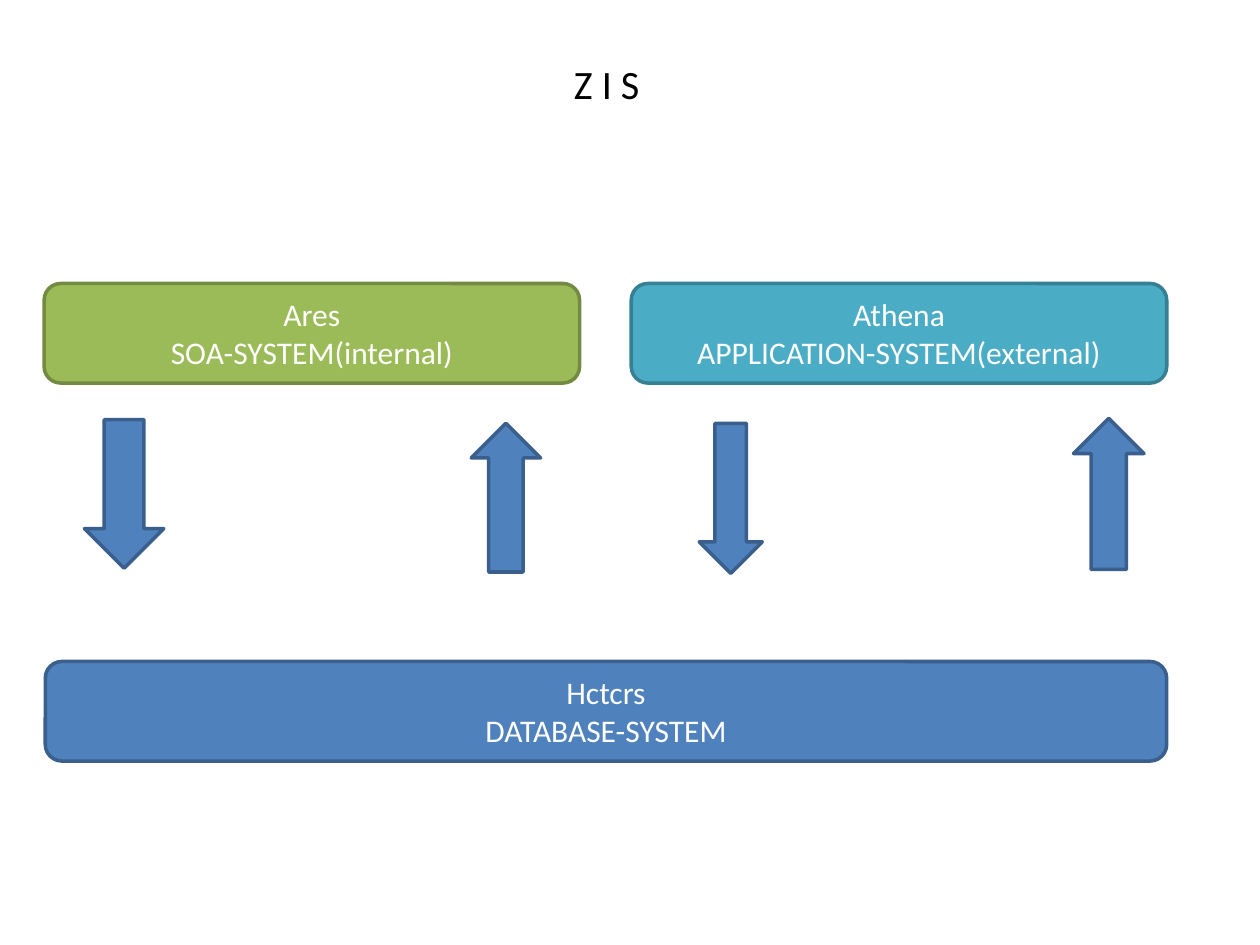
"""Build the ZIS slide: two systems exchanging data with a database."""
from dataclasses import dataclass

from pptx import Presentation, util as u
from pptx.dml.color import RGBColor
from pptx.enum import shapes, text

HUES = {
    "green": "9BBB59", "moss": "738A42",
    "blue": "4F81BD", "navy": "3A5F8C",
    "aqua": "4BACC6", "teal": "377F92",
    "white": "FFFFFF", "black": "000000",
}
KIND = shapes.MSO_SHAPE


@dataclass
class Box:
    left: float
    top: float
    width: float
    lines: tuple[str, ...]
    fill: str
    edge: str


@dataclass
class Arrow:
    kind: KIND
    left: float
    top: float
    width: float
    height: float


BOXES = [
    Box(0.35, 2.25, 4.25, ("Ares", "SOA-SYSTEM(internal)"), "green", "moss"),
    Box(0.36, 5.25, 8.9, ("Hctcrs", "DATABASE-SYSTEM"), "blue", "navy"),
    Box(5.01, 2.25, 4.25, ("Athena", "APPLICATION-SYSTEM(external)"), "aqua", "teal"),
]
ARROWS = [
    Arrow(KIND.DOWN_ARROW, 0.67, 3.33, 0.63, 1.18),
    Arrow(KIND.UP_ARROW, 3.74, 3.36, 0.55, 1.18),
    Arrow(KIND.UP_ARROW, 8.52, 3.32, 0.56, 1.2),
    Arrow(KIND.DOWN_ARROW, 5.55, 3.36, 0.5, 1.19),
]


def hue(name: str) -> RGBColor:
    return RGBColor.from_string(HUES[name])


def write(frame, lines: tuple[str, ...], size: float, color: str) -> None:
    frame.word_wrap = True
    frame.text = "\n".join(lines)
    for para in frame.paragraphs:
        para.alignment = text.PP_ALIGN.CENTER
        para.font.name = "Calibri"
        para.font.size = u.Pt(size)
        para.font.color.rgb = hue(color)


def draw(slide, kind: KIND, area: tuple[float, ...], fill: str, edge: str):
    shape = slide.shapes.add_shape(kind, *map(u.Inches, area))
    shape.shadow.inherit = False
    shape.fill.solid()
    shape.fill.fore_color.rgb = hue(fill)
    shape.line.color.rgb = hue(edge)
    shape.line.width = u.Pt(2)
    return shape


def main() -> None:
    deck = Presentation()
    deck.slide_width, deck.slide_height = u.Inches(10), u.Inches(7.5)
    slide = deck.slides.add_slide(deck.slide_layouts[6])
    for box in BOXES:
        area = (box.left, box.top, box.width, 0.79)
        shape = draw(slide, KIND.ROUNDED_RECTANGLE, area, box.fill, box.edge)
        shape.text_frame.vertical_anchor = text.MSO_ANCHOR.MIDDLE
        write(shape.text_frame, box.lines, 18, "white")
    title = slide.shapes.add_textbox(*map(u.Inches, (1.39, 0.42, 6.85, 0.49)))
    write(title.text_frame, ("Z I S",), 23, "black")
    title.text_frame.auto_size = text.MSO_AUTO_SIZE.SHAPE_TO_FIT_TEXT
    for arrow in ARROWS:
        area = (arrow.left, arrow.top, arrow.width, arrow.height)
        draw(slide, arrow.kind, area, "blue", "navy")
    deck.save("out.pptx")


main()
